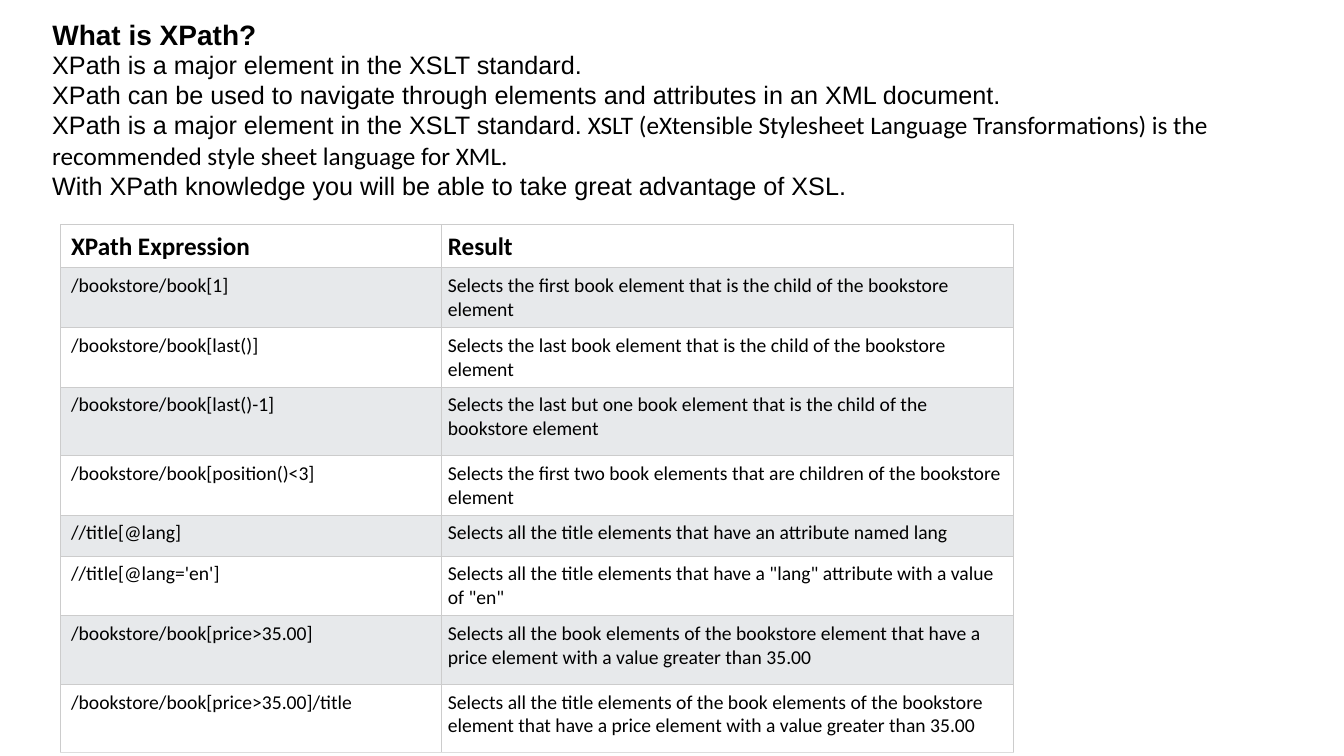
from pptx import Presentation
from pptx.util import Pt
from pptx.dml.color import RGBColor
from pptx.enum.text import PP_ALIGN as Align, MSO_ANCHOR as Anchor, MSO_AUTO_SIZE as Fit
from pptx.oxml import parse_xml
from pptx.oxml.ns import nsdecls

# Content
TITLE = "What is XPath?"
# Each paragraph is a list of (text, font) runs
INTRO = [
    [("XPath is a major element in the XSLT standard.", "Arial")],
    [("XPath can be used to navigate through elements and attributes in an XML document.", "Arial")],
    [("XPath is a major element in the XSLT standard.", "Arial"),
     (" XSLT (eXtensible Stylesheet Language Transformations) is the recommended "
      "style sheet language for XML.", "Calibri")],
    [("With XPath knowledge you will be able to take great advantage of XSL.", "Arial")],
]
# Row heights in points
LOW, MID, TALL = 29.3, 41.8, 48.9
ROWS = [
    ("XPath Expression", "Result", LOW),
    ("/bookstore/book[1]",
     "Selects the first book element that is the child of the bookstore element", MID),
    ("/bookstore/book[last()]",
     "Selects the last book element that is the child of the bookstore element", MID),
    ("/bookstore/book[last()-1]",
     "Selects the last but one book element that is the child of the bookstore element", TALL),
    ("/bookstore/book[position()<3]",
     "Selects the first two book elements that are children of the bookstore element", MID),
    ("//title[@lang]",
     "Selects all the title elements that have an attribute named lang", LOW),
    ("//title[@lang='en']",
     'Selects all the title elements that have a "lang" attribute with a value of "en"', MID),
    ("/bookstore/book[price>35.00]",
     "Selects all the book elements of the bookstore element that have a price element "
     "with a value greater than 35.00", TALL),
    ("/bookstore/book[price>35.00]/title",
     "Selects all the title elements of the book elements of the bookstore element "
     "that have a price element with a value greater than 35.00", TALL),
]
COLS = (272.2, 408.6)
PADS = (7.6, 4.5)
LEFT, TOP, WIDTH = 30.2, 8.6, 929.5
HEAD = 30.2


def color(text):
    return RGBColor.from_string(text)


def style(font, size, name=None, bold=False):
    font.size, font.bold = Pt(size), bold
    font.color.rgb = color("000000")
    if name:
        font.name = name


def border(cell, side, tone):
    cell._tc.get_or_add_tcPr().append(parse_xml(
        f'<a:ln{side} {nsdecls("a")} w="{Pt(0.75)}"><a:solidFill>'
        f'<a:srgbClr val="{tone}"/></a:solidFill></a:ln{side}>'))


deck = Presentation()
deck.slide_width, deck.slide_height = Pt(960), Pt(540)
slide = deck.slides.add_slide(deck.slide_layouts[5])

# Title
title = slide.shapes.title
title.left, title.top, title.width, title.height = map(Pt, (LEFT, TOP, WIDTH, HEAD))
frame = title.text_frame
frame.text = TITLE
frame.auto_size, frame.vertical_anchor = Fit.NONE, Anchor.TOP
frame.paragraphs[0].alignment = Align.LEFT
style(frame.paragraphs[0].font, 20, "Arial", True)

# Introduction
box = slide.shapes.add_textbox(*map(Pt, (LEFT, TOP + 23, WIDTH, 118)))
frame = box.text_frame
frame.word_wrap = True
for i, runs in enumerate(INTRO):
    para = frame.add_paragraph() if i else frame.paragraphs[0]
    style(para.font, 18)
    for text, name in runs:
        run = para.add_run()
        run.text, run.font.name = text, name

# Table of expressions
high = sum(row[-1] for row in ROWS)
table = slide.shapes.add_table(
    len(ROWS), len(COLS), *map(Pt, (43.2, 160.6, sum(COLS), high))).table
table.first_row = table.horz_banding = False
for col, wide in zip(table.columns, COLS):
    col.width = Pt(wide)
for r, (*texts, tall) in enumerate(ROWS):
    table.rows[r].height = Pt(tall)
    last = r == len(ROWS) - 1
    for c, text in enumerate(texts):
        cell = table.cell(r, c)
        cell.text = text
        cell.margin_left = Pt(PADS[c])
        cell.margin_right = cell.margin_top = cell.margin_bottom = Pt(4.5)
        style(cell.text_frame.paragraphs[0].font, 14 if r else 18, "Calibri", r == 0)
        for side in "LRTB":
            border(cell, side, "DDDDDD" if last and side == "B" else "CCCCCC")
        cell.fill.solid()
        cell.fill.fore_color.rgb = color("E7E9EB" if r % 2 else "FFFFFF")

deck.save("out.pptx")
